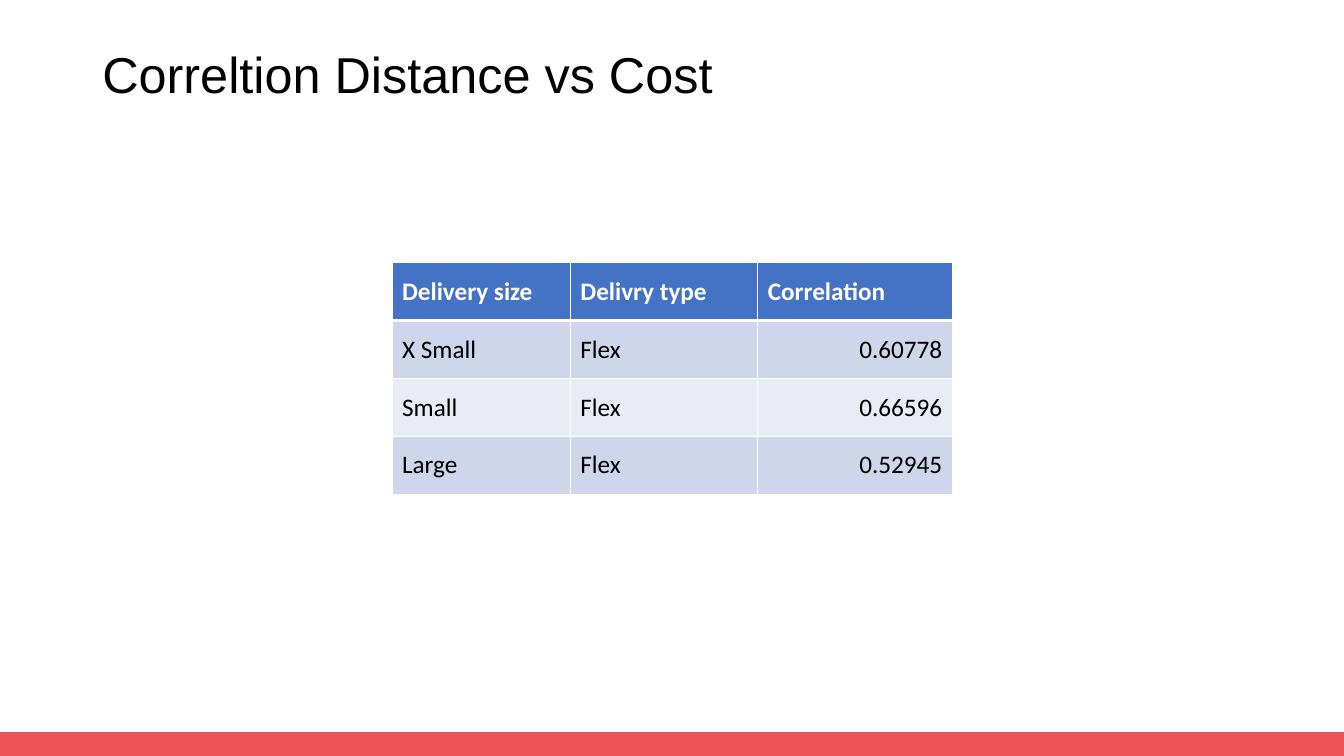
from dataclasses import dataclass

from lxml import etree
from pptx import Presentation
from pptx import util as u
from pptx.dml.color import RGBColor
from pptx.enum import shapes, text
from pptx.oxml import ns


@dataclass(frozen=True)
class Theme:
    ink: str = "000000"
    white: str = "FFFFFF"
    footer: str = "EE5356"
    header: str = "4472C4"
    bands: tuple = ("CFD5EA", "E9EBF5")
    title_font: str = "Arial"
    table_font: str = "Calibri"
    title_size: float = 36
    table_size: float = 18
    thin: float = 1
    thick: float = 3


THEME = Theme()
COLUMN_WIDTHS = (127.4, 133.9, 139)
ROW_HEIGHT = 41.4
CORRELATIONS = (
    ("Delivery size", "Delivry type", "Correlation"),
    ("X Small", "Flex", "0.60778"),
    ("Small", "Flex", "0.66596"),
    ("Large", "Flex", "0.52945"),
)


def write_text(frame, content, *, font, size, color=THEME.ink, bold=False,
               align=text.PP_ALIGN.LEFT, spacing=1.0):
    paragraph = frame.paragraphs[0]
    paragraph.alignment = align
    paragraph.line_spacing = spacing
    run = paragraph.add_run()
    run.text = content
    run.font.name = font
    run.font.size = u.Pt(size)
    run.font.bold = bold
    run.font.color.rgb = RGBColor.from_string(color)


def add_footer_bar(slide):
    shape = slide.shapes.add_shape(
        shapes.MSO_SHAPE.RECTANGLE, u.Pt(0), u.Pt(523.4), u.Pt(960), u.Pt(16.6))
    shape.shadow.inherit = False
    color = RGBColor.from_string(THEME.footer)
    shape.fill.solid()
    shape.fill.fore_color.rgb = color
    shape.line.color.rgb = color
    shape.line.width = u.Pt(1.5)


def add_title(slide, content):
    shape = slide.shapes.add_textbox(u.Pt(66), u.Pt(10.8), u.Pt(828), u.Pt(89.3))
    frame = shape.text_frame
    frame.word_wrap = True
    frame.vertical_anchor = text.MSO_ANCHOR.MIDDLE
    write_text(frame, content, font=THEME.title_font, size=THEME.title_size, spacing=0.9)


def set_borders(cell, top, bottom):
    properties = cell._tc.get_or_add_tcPr()
    widths = {"L": THEME.thin, "R": THEME.thin, "T": top, "B": bottom}
    for side, width in widths.items():
        line = etree.SubElement(properties, ns.qn(f"a:ln{side}"), w=str(u.Pt(width)))
        fill = etree.SubElement(line, ns.qn("a:solidFill"))
        etree.SubElement(fill, ns.qn("a:srgbClr"), val=THEME.white)


def format_cell(cell, content, row, column):
    header = row == 0
    set_borders(cell, THEME.thick if row == 1 else THEME.thin,
                THEME.thick if header else THEME.thin)
    cell.fill.solid()
    fill = THEME.header if header else THEME.bands[(row - 1) % 2]
    cell.fill.fore_color.rgb = RGBColor.from_string(fill)
    cell.vertical_anchor = text.MSO_ANCHOR.MIDDLE
    numeric = not header and column == 2
    write_text(cell.text_frame, content, font=THEME.table_font, size=THEME.table_size,
               color=THEME.white if header else THEME.ink, bold=header,
               align=text.PP_ALIGN.RIGHT if numeric else text.PP_ALIGN.LEFT)


def add_correlation_table(slide, rows):
    table = slide.shapes.add_table(
        len(rows), len(COLUMN_WIDTHS), u.Pt(280), u.Pt(187.5),
        u.Pt(sum(COLUMN_WIDTHS)), u.Pt(ROW_HEIGHT * len(rows))).table
    for column, width in zip(table.columns, COLUMN_WIDTHS):
        column.width = u.Pt(width)
    for row_index, values in enumerate(rows):
        table.rows[row_index].height = u.Pt(ROW_HEIGHT)
        for column_index, value in enumerate(values):
            format_cell(table.cell(row_index, column_index), value, row_index, column_index)


def main():
    """Build the slide on the correlation of delivery distance and cost."""
    presentation = Presentation()
    presentation.slide_width = u.Pt(960)
    presentation.slide_height = u.Pt(540)
    slide = presentation.slides.add_slide(presentation.slide_layouts[6])
    add_footer_bar(slide)
    add_title(slide, "Correltion Distance vs Cost")
    add_correlation_table(slide, CORRELATIONS)
    presentation.save("out.pptx")


if __name__ == "__main__":
    main()
